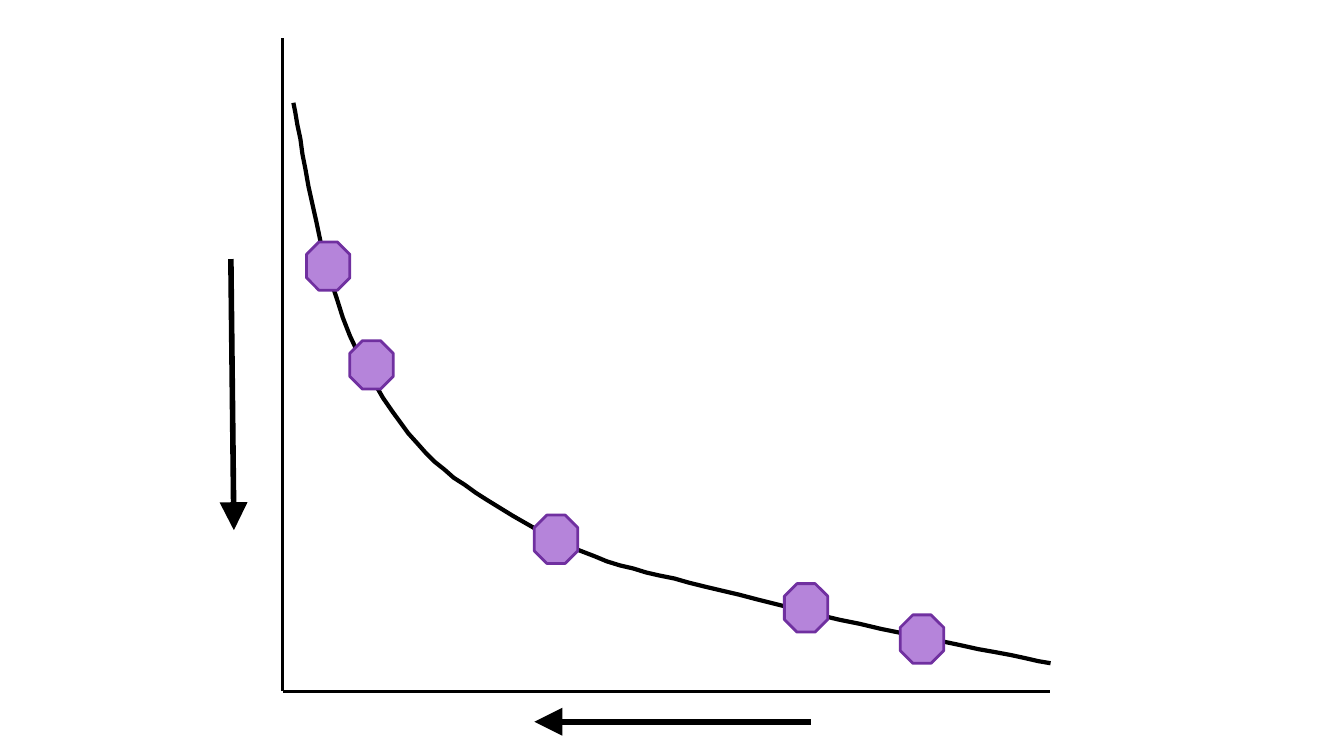
"""Draw a decay curve with octagon markers, two axes and two direction arrows."""
from lxml.etree import SubElement
from pptx import Presentation
from pptx.dml.color import RGBColor
from pptx.enum.shapes import MSO_CONNECTOR, MSO_SHAPE
from pptx.oxml.ns import qn
from pptx.util import Pt

PX = 9144
BLACK = RGBColor(0x00, 0x00, 0x00)
LILAC = RGBColor(0xB5, 0x84, 0xDA)
PURPLE = RGBColor(0x70, 0x30, 0xA0)

CURVE_START = (291, 102)
CURVE_SEGMENTS = [
    ((302, 152), (317, 282), (363, 366)),
    ((410, 450), (445, 475), (523, 520)),
    ((601, 566), (648, 567), (752, 595)),
    ((855, 622), (984, 646), (1042, 658)),
]
CURVE_STEPS = 16
AXES = [((280, 38), (280, 686)), ((281, 686), (1041, 686))]
ARROWS = [((804, 716), (530, 716)), ((229, 257), (232, 526))]
MARKER_SIZE = (43, 48)
MARKERS = [(304, 240), (347, 338), (530, 511), (778, 579), (893, 610)]


def style_line(line, color, width):
    line.color.rgb = color
    line.width = Pt(width)


def bezier_point(controls, t):
    weights = ((1 - t) ** 3, 3 * t * (1 - t) ** 2, 3 * t ** 2 * (1 - t), t ** 3)
    return tuple(
        sum(weight * value for weight, value in zip(weights, axis))
        for axis in zip(*controls)
    )


def add_curve(slide):
    points = [CURVE_START]
    for segment in CURVE_SEGMENTS:
        controls = (points[-1], *segment)
        points += [bezier_point(controls, step / CURVE_STEPS)
                   for step in range(1, CURVE_STEPS + 1)]
    builder = slide.shapes.build_freeform(*CURVE_START, scale=PX)
    builder.add_line_segments(points[1:], close=False)
    curve = builder.convert_to_shape()
    curve.shadow.inherit = False
    curve.fill.background()
    style_line(curve.line, BLACK, 3)


def add_straight(slide, start, end, width, arrow=False):
    ends = [value * PX for value in (*start, *end)]
    straight = slide.shapes.add_connector(MSO_CONNECTOR.STRAIGHT, *ends)
    style_line(straight.line, BLACK, width)
    properties = straight.line._get_or_add_ln()
    if arrow:
        SubElement(properties, qn("a:tailEnd"), type="triangle", w="lg", len="lg")
    SubElement(properties.getparent(), qn("a:effectLst"))


def add_marker(slide, left, top):
    box = [value * PX for value in (left, top, *MARKER_SIZE)]
    marker = slide.shapes.add_shape(MSO_SHAPE.OCTAGON, *box)
    marker.adjustments[0] = 0.29
    marker.shadow.inherit = False
    marker.fill.solid()
    marker.fill.fore_color.rgb = LILAC
    style_line(marker.line, PURPLE, 2)


def main():
    deck = Presentation()
    deck.slide_width, deck.slide_height = 1333 * PX, 750 * PX
    slide = deck.slides.add_slide(deck.slide_layouts[6])
    add_curve(slide)
    for start, end in AXES:
        add_straight(slide, start, end, 2)
    for start, end in ARROWS:
        add_straight(slide, start, end, 4, arrow=True)
    for left, top in MARKERS:
        add_marker(slide, left, top)
    deck.save("out.pptx")


if __name__ == "__main__":
    main()
